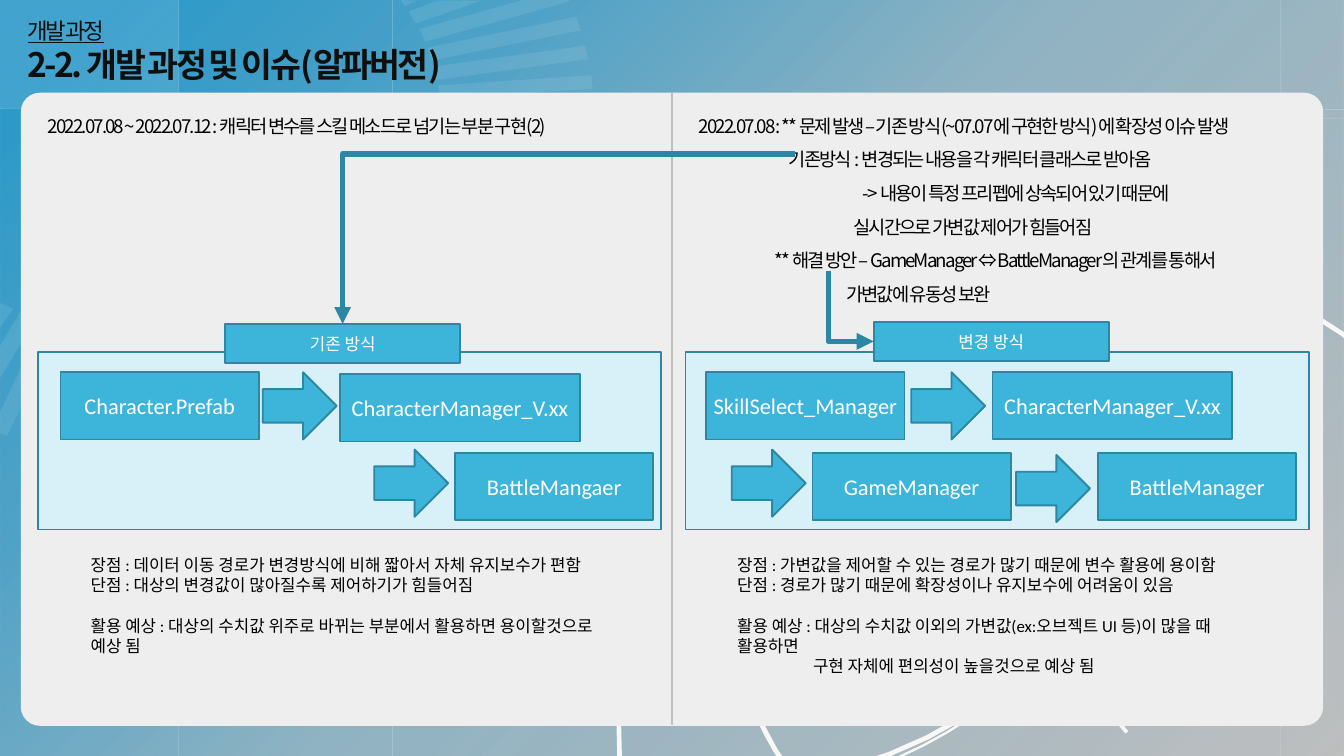
from dataclasses import dataclass

from lxml import etree
from pptx import Presentation
from pptx import util as u
from pptx.dml.color import RGBColor
from pptx.enum import shapes, text
from pptx.oxml import ns

PX = 9144
W, H = 2000, 1125


@dataclass(frozen=True)
class Theme:
    page: str = "BFBFBF"
    wash: str = "0F92CC"
    white: str = "FFFFFF"
    ray: str = "F2FAFE"
    arc: str = "F8F8F8"
    card: str = "EEEEEE"
    panel: str = "D8F0F8"
    node: str = "3DB5DB"
    edge: str = "2D86A2"
    link: str = "2B87A4"
    heading: str = "0F0F0E"
    ink: str = "000000"
    sans: str = "Noto Sans CJK KR"
    plain: str = "Calibri"
    title: int = 36
    label: int = 24
    body: int = 20
    note: int = 18


T = Theme()


def px(n):
    return round(n * PX)


def add_el(parent, tag, **attrs):
    return etree.SubElement(parent, ns.qn(tag), {k: str(v) for k, v in attrs.items()})


def set_alpha(parent, alpha):
    if alpha < 100:
        for clr in parent.iter(ns.qn("a:srgbClr")):
            add_el(clr, "a:alpha", val=alpha * 1000)


def paint(sp, fill=None, line=None, width=2, alpha=100):
    sp.shadow.inherit = False
    if fill:
        sp.fill.solid()
        sp.fill.fore_color.rgb = RGBColor.from_string(fill)
        set_alpha(sp._element.spPr, alpha)
    else:
        sp.fill.background()
    if line:
        sp.line.color.rgb = RGBColor.from_string(line)
        sp.line.width = u.Pt(width)
    else:
        sp.line.fill.background()
    return sp


def add_box(s, kind, x, y, w, h, **look):
    return paint(s.shapes.add_shape(kind, px(x), px(y), px(w), px(h)), **look)


def add_line(s, x1, y1, x2, y2, color, width, alpha=100, kind=shapes.MSO_CONNECTOR.STRAIGHT):
    c = s.shapes.add_connector(kind, px(x1), px(y1), px(x2), px(y2))
    c.line.color.rgb = RGBColor.from_string(color)
    c.line.width = u.Pt(width)
    set_alpha(c._element.spPr, alpha)
    add_el(c._element.spPr, "a:effectLst")
    return c


def add_path(s, points, closed, **look):
    start, *rest = [(px(x), px(y)) for x, y in points]
    builder = s.shapes.build_freeform(*start)
    builder.add_line_segments(rest, close=closed)
    return paint(builder.convert_to_shape(), **look)


def write(tf, words, first=False, size=T.body, font=T.sans, color=T.ink, bold=False,
          underline=False, track=0, indent=0, before=0, spacing=1.0,
          align=text.PP_ALIGN.LEFT):
    p = tf.paragraphs[0] if first else tf.add_paragraph()
    p.alignment, p.line_spacing, p.space_before = align, spacing, u.Pt(before)
    pPr = p._p.get_or_add_pPr()
    pPr.set("marL", "0")
    pPr.set("indent", str(px(indent)))
    add_el(pPr, "a:buNone")
    r = p.add_run()
    r.text = words
    r.font.size, r.font.name = u.Pt(size), font
    r.font.bold, r.font.underline = bold, underline
    r.font.color.rgb = RGBColor.from_string(color)
    rPr = r._r.get_or_add_rPr()
    if track:
        rPr.set("spc", str(track * 100))
    if font == T.sans:
        add_el(rPr, "a:ea", typeface=font)


def place(sp, x, y, w, h, anchor=text.MSO_ANCHOR.TOP):
    sp.left, sp.top, sp.width, sp.height = px(x), px(y), px(w), px(h)
    tree = sp._element.getparent()
    tree.append(sp._element)
    tf = sp.text_frame
    tf.word_wrap, tf.auto_size, tf.vertical_anchor = True, text.MSO_AUTO_SIZE.NONE, anchor
    return tf


def bezier(points, steps=16):
    curve = [points[0]]
    for i in range(0, len(points) - 1, 3):
        a, b, c, d = points[i:i + 4]
        for n in range(1, steps + 1):
            t = n / steps
            k = ((1 - t) ** 3, 3 * t * (1 - t) ** 2, 3 * t * t * (1 - t), t ** 3)
            curve.append(tuple(sum(q * v for q, v in zip(k, axis)) for axis in zip(a, b, c, d)))
    return curve


def backdrop(s):
    s.background.fill.solid()
    s.background.fill.fore_color.rgb = RGBColor.from_string(T.page)
    sp = add_box(s, shapes.MSO_SHAPE.RECTANGLE, 0, 0, W, H)
    spPr = sp._element.spPr
    grad = etree.Element(ns.qn("a:gradFill"), rotWithShape="1")
    stops = add_el(grad, "a:gsLst")
    for pos, alpha in ((6, 83), (26, 63), (50, 27), (100, 0)):
        clr = add_el(add_el(stops, "a:gs", pos=pos * 1000), "a:srgbClr", val=T.wash)
        add_el(clr, "a:alpha", val=alpha * 1000)
    add_el(grad, "a:lin", ang=45 * 60000, scaled=0)
    spPr.replace(spPr.find(ns.qn("a:noFill")), grad)

    add_box(s, shapes.MSO_SHAPE.RECTANGLE, 0, 0, 266, 162, fill=T.white, alpha=10)
    for ends in ((266, 0, 266, H), (1906, 0, 1906, H), (584, 0, 584, H),
                 (0, 162, W, 163), (1266, 175, W, 176)):
        add_line(s, *ends, T.white, 0.75, alpha=20)
    for ray in (((596, 0), (621, 1), (603, 9)),
                ((652, 1), (716, 1), (619, 35), (608, 17)),
                ((839, -17), (847, 2), (633, 62), (624, 43)),
                ((857, 25), (864, 45), (643, 90), (636, 71)),
                ((871, 68), (875, 88), (650, 119), (645, 99)),
                ((880, 112), (882, 132), (654, 147), (652, 127)),
                ((65, 476), (89, 483), (11, 648), (-13, 641)),
                ((30, 464), (54, 473), (0, 563), (0, 515)),
                ((0, 451), (20, 460), (0, 487))):
        add_path(s, ray, True, fill=T.ray, alpha=10)
    for width, *points in (
            (5, (961, 1267), (843, 1029), (992, 698), (1298, 519), (1604, 341), (1957, 378), (2098, 604)),
            (2, (1065, 621), (1213, 529), (1391, 504), (1548, 553), (1705, 601), (1825, 717), (1873, 869)),
            (5, (1309, 503), (1094, 701), (1039, 975), (1178, 1151)),
            (2.25, (1429, 412), (1272, 509), (1157, 654), (1116, 807), (1075, 959), (1112, 1102), (1218, 1194)),
            (5, (1146, 1160), (1466, 1147), (1770, 835), (1862, 425)),
            (2.5, (972, 1156), (1159, 1212), (1370, 1150), (1544, 989), (1718, 829), (1837, 586), (1868, 330))):
        add_path(s, bezier(points), False, line=T.arc, width=width)
    add_line(s, 1134, 431, 1677, 1090, T.arc, 4)


def header(sp, x, y, w, h):
    tf = place(sp, x, y, w, h, text.MSO_ANCHOR.MIDDLE)
    write(tf, "개발 과정", first=True, size=T.label, color=T.heading, underline=True, track=-3)
    write(tf, "2-2. 개발 과정 및 이슈(알파버전)", size=T.title, color=T.heading, bold=True, track=-3)


def log(sp, x, y, w, h, lines):
    tf = place(sp, x, y, w, h)
    for i, (indent, words) in enumerate(lines):
        write(tf, words, first=i == 0, indent=indent, spacing=1.5, track=-2)


def node(s, x, y, w, h, words, size):
    sp = add_box(s, shapes.MSO_SHAPE.RECTANGLE, x, y, w, h, fill=T.node, line=T.edge)
    tf = sp.text_frame
    tf.word_wrap, tf.vertical_anchor = True, text.MSO_ANCHOR.MIDDLE
    write(tf, words, first=True, size=size, font=T.plain, color=T.white, align=text.PP_ALIGN.CENTER)


def flow(s, x, y, w, h, tag, tag_at, nodes, arrows):
    add_box(s, shapes.MSO_SHAPE.RECTANGLE, x, y, w, h, fill=T.panel, line=T.edge)
    for dx, dy in arrows:
        add_box(s, shapes.MSO_SHAPE.RIGHT_ARROW, x + dx, y + dy, 110, 100, fill=T.node, line=T.edge)
    for words, dx, dy, width in nodes:
        node(s, x + dx, y + dy, width, 100, words, T.label)
    node(s, x + tag_at[0], y + tag_at[1], 350, 58, tag, T.note)


def notes(s, x, y, w, h, lines):
    tf = place(s.shapes.add_textbox(0, 0, 0, 0), x, y, w, h)
    for i, (indent, before, words) in enumerate(lines):
        write(tf, words, first=i == 0, size=T.note, font=T.plain, indent=indent, before=before)


def elbow(s, x1, y1, x2, y2, down_first=False):
    if down_first:
        cx, cy, dx, dy = (x1 + x2) / 2, (y1 + y2) / 2, (x2 - x1) / 2, (y2 - y1) / 2
        x1, y1, x2, y2 = cx + dy, cy - dx, cx - dy, cy + dx
    c = add_line(s, x1, y1, x2, y2, T.link, 6, kind=shapes.MSO_CONNECTOR.ELBOW)
    spPr = c._element.spPr
    spPr.find(ns.qn("a:prstGeom")).set("prst", "bentConnector2")
    if down_first:
        spPr.find(ns.qn("a:xfrm")).set("rot", str(270 * 60000))
    add_el(spPr.find(ns.qn("a:ln")), "a:tailEnd", type="triangle")


def main():
    prs = Presentation()
    prs.slide_width, prs.slide_height = px(W), px(H)
    s = prs.slides.add_slide(prs.slide_layouts[3])
    title, left, right = s.placeholders

    backdrop(s)
    card = add_box(s, shapes.MSO_SHAPE.ROUNDED_RECTANGLE, 31, 138, 1938, 942, fill=T.card)
    card.adjustments[0] = 0.03
    header(title, 31, 20, 694, 111)
    add_line(s, 1000, 138, 1000, 1079, T.page, 2.25)
    log(left, 61, 149, 908, 54, [
        (0, "2022.07.08 ~ 2022.07.12 : 캐릭터 변수를 스킬 메소드로 넘기는 부분 구현(2)")])
    log(right, 1030, 149, 908, 357, [
        (0, "2022.07.08 : ** 문제 발생 – 기존 방식(~07.07에 구현한 방식)에 확장성 이슈 발생"),
        (134, "기존방식 : 변경되는 내용을 각 캐릭터 클래스로 받아옴"),
        (244, "-> 내용이 특정 프리펩에 상속되어 있기 때문에"),
        (230, "실시간으로 가변값 제어가 힘들어짐"),
        (112, "** 해결 방안 – GameManager ⇔ BattleManager의 관계를 통해서"),
        (219, "가변값에 유동성 보완")])

    flow(s, 56, 524, 928, 264, "기존 방식", (279, -42),
         [("Character.Prefab", 34, 30, 295), ("CharacterManager_V.xx", 450, 33, 357),
          ("BattleMangaer", 621, 150, 295)],
         [(335, 30), (501, 145)])
    flow(s, 1020, 524, 928, 264, "변경 방식", (280, -45),
         [("SkillSelect_Manager", 31, 30, 295), ("CharacterManager_V.xx", 457, 29, 357),
          ("GameManager", 189, 150, 295), ("BattleManager", 614, 150, 295)],
         [(336, 30), (69, 145), (492, 153)])

    notes(s, 125, 821, 808, 131, [
        (0, 0, "장점 : 데이터 이동 경로가 변경방식에 비해 짧아서 자체 유지보수가 편함"),
        (0, 0, "단점 : 대상의 변경값이 많아질수록 제어하기가 힘들어짐"),
        (0, 22, "활용 예상 : 대상의 수치값 위주로 바뀌는 부분에서 활용하면 용이할것으로 예상 됨")])
    notes(s, 1087, 821, 775, 162, [
        (0, 0, "장점 : 가변값을 제어할 수 있는 경로가 많기 때문에 변수 활용에 용이함"),
        (0, 0, "단점 : 경로가 많기 때문에 확장성이나 유지보수에 어려움이 있음"),
        (0, 22, "활용 예상 : 대상의 수치값 이외의 가변값(ex:오브젝트 UI 등)이 많을 때 활용하면"),
        (113, 0, "구현 자체에 편의성이 높을것으로 예상 됨")])

    elbow(s, 1183, 229, 510, 482)
    elbow(s, 1233, 404, 1300, 508, down_first=True)
    prs.save("out.pptx")


if __name__ == "__main__":
    main()
